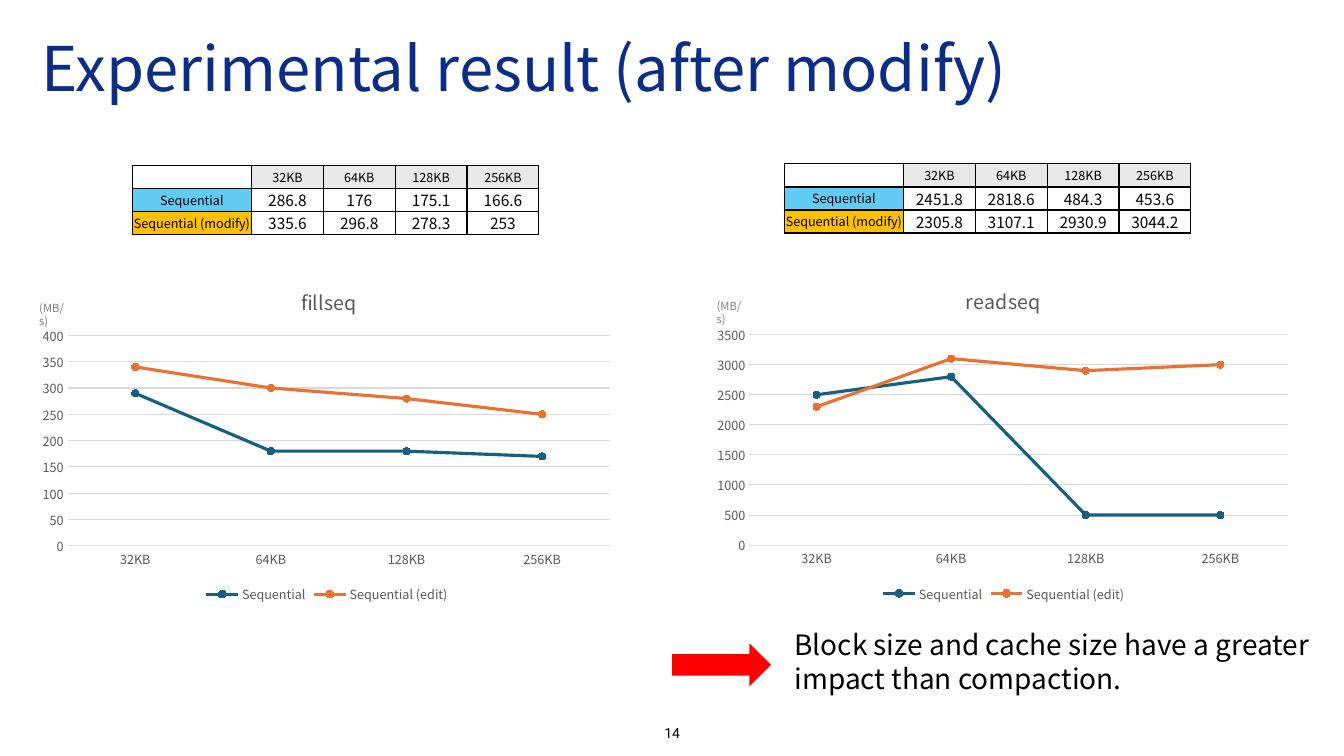
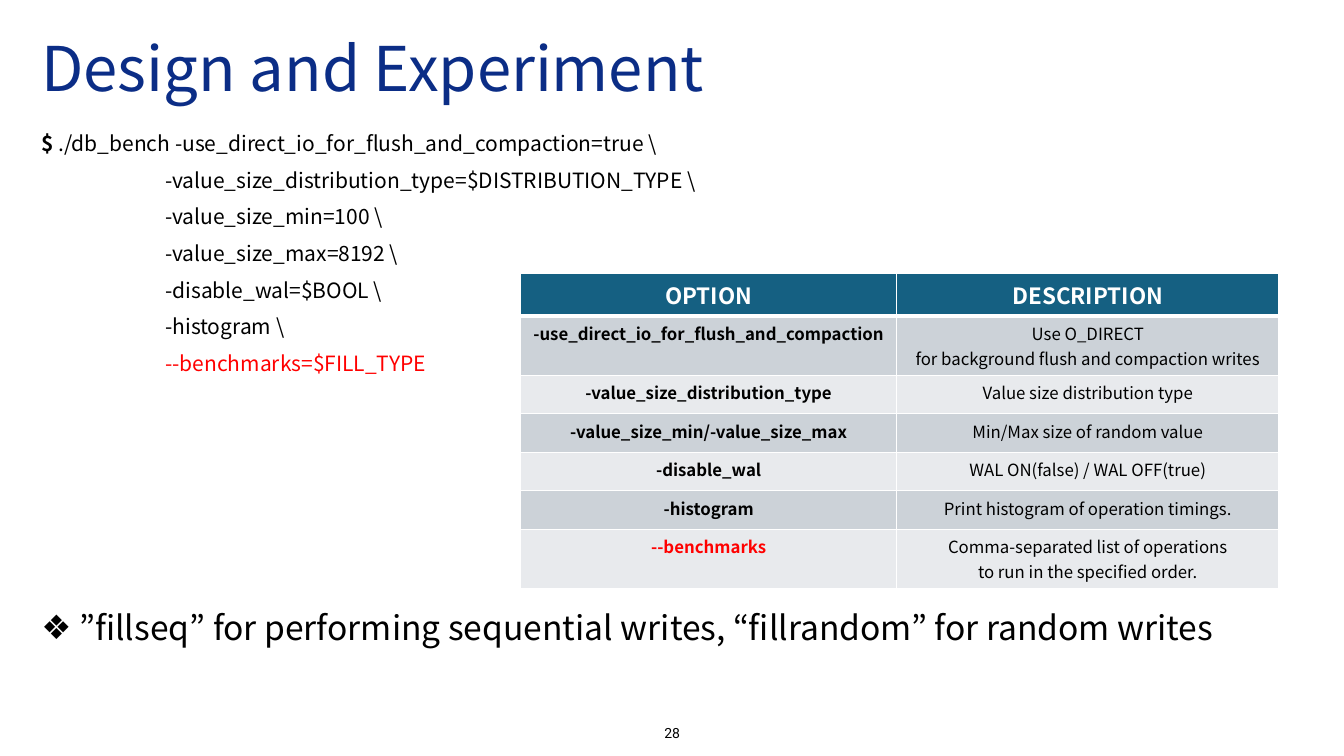
"""Build two slides on storage benchmark results and options."""
from dataclasses import dataclass

from lxml import etree
from pptx import Presentation
from pptx.chart.data import CategoryChartData
from pptx.dml.color import RGBColor
from pptx.enum.chart import XL_CHART_TYPE, XL_LEGEND_POSITION, XL_MARKER_STYLE, XL_TICK_MARK
from pptx.enum.shapes import MSO_SHAPE
from pptx.enum.text import MSO_ANCHOR, MSO_AUTO_SIZE, PP_ALIGN
from pptx.oxml.ns import qn
from pptx.util import Cm, Pt

LEFT, CENTER = PP_ALIGN.LEFT, PP_ALIGN.CENTER
TOP, MIDDLE = MSO_ANCHOR.TOP, MSO_ANCHOR.MIDDLE
NO_FIT, GROW = MSO_AUTO_SIZE.NONE, MSO_AUTO_SIZE.SHAPE_TO_FIT_TEXT
LINE_MARKERS = XL_CHART_TYPE.LINE_MARKERS
LEGEND_BOTTOM = XL_LEGEND_POSITION.BOTTOM
CIRCLE = XL_MARKER_STYLE.CIRCLE
NO_TICK = XL_TICK_MARK.NONE
RIGHT_ARROW = MSO_SHAPE.RIGHT_ARROW
CONTENT_LAYOUT, TITLE_LAYOUT = 1, 5


@dataclass(frozen=True)
class Theme:
    """Fonts, colours and type sizes of the deck."""
    font: str = "Noto Sans CJK KR"
    number_font: str = "Roboto"
    title: str = "0B2D86"
    text: str = "000000"
    white: str = "FFFFFF"
    red: str = "FF0000"
    muted: str = "595959"
    unit: str = "808080"
    grid: str = "D9D9D9"
    head: str = "E8E8E8"
    blue: str = "61CBF3"
    amber: str = "FFC000"
    teal: str = "156082"
    orange: str = "E97132"
    bands: tuple = ("CCD2D8", "E8EAED")
    title_size: int = 44
    bullet_size: int = 24
    caption_size: int = 20
    header_size: int = 16
    code_size: int = 15
    chart_title_size: int = 14
    option_size: int = 12
    value_size: int = 11
    number_size: int = 10
    label_size: int = 9
    unit_size: int = 8


THEME = Theme()
BLOCK_SIZES = ("32KB", "64KB", "128KB", "256KB")
FILLSEQ = ((286.8, 176, 175.1, 166.6), (335.6, 296.8, 278.3, 253))
READSEQ = ((2451.8, 2818.6, 484.3, 453.6), (2305.8, 3107.1, 2930.9, 3044.2))
FILLSEQ_PLOTTED = ((290, 180, 180, 170), (340, 300, 280, 250))
READSEQ_PLOTTED = ((2500, 2800, 500, 500), (2300, 3100, 2900, 3000))
COMMAND_OPTIONS = (
    "-value_size_distribution_type=$DISTRIBUTION_TYPE \\",
    "-value_size_min=100 \\",
    "-value_size_max=8192 \\",
    "-disable_wal=$BOOL \\",
    "-histogram \\",
    "--benchmarks=$FILL_TYPE",
)
OPTIONS = (
    ("OPTION", "DESCRIPTION"),
    ("-use_direct_io_for_flush_and_compaction",
     "Use O_DIRECT\nfor background flush and compaction writes"),
    ("-value_size_distribution_type", "Value size distribution type"),
    ("-value_size_min/-value_size_max", "Min/Max size of random value"),
    ("-disable_wal", "WAL ON(false) / WAL OFF(true)"),
    ("-histogram", "Print histogram of operation timings."),
    ("--benchmarks", "Comma-separated list of operations\nto run in the specified order."),
)


def style_font(font, size, color=THEME.text, bold=False, name=THEME.font):
    """Give a font its face, size, colour and weight."""
    font.name, font.size, font.bold = name, Pt(size), bold
    font.color.rgb = RGBColor.from_string(color)


def style_text(frame, size, color=THEME.text, align=LEFT, spacing=None, **font):
    """Format every paragraph and run of a text frame."""
    for paragraph in frame.paragraphs:
        paragraph.alignment = align
        if spacing:
            paragraph.line_spacing = spacing
        for run in paragraph.runs:
            style_font(run.font, size, color, **font)


def place(shape, left, top, width, height):
    """Move and size a shape, in centimetres."""
    shape.left, shape.top, shape.width, shape.height = map(Cm, (left, top, width, height))


def add_text(slide, text, box, size, wrap=True, anchor=TOP, **style):
    """Add a text box, which grows with its text if it does not wrap."""
    frame = slide.shapes.add_textbox(*map(Cm, box)).text_frame
    frame.word_wrap, frame.vertical_anchor = wrap, anchor
    frame.auto_size = NO_FIT if wrap else GROW
    frame.text = text
    style_text(frame, size, **style)


def add_slide(presentation, layout, title, number):
    """Add a slide with the shared title and page number."""
    slide = presentation.slides.add_slide(presentation.slide_layouts[layout])
    place(slide.shapes.title, 0.79, 0.48, 29.21, 2.67)
    frame = slide.shapes.title.text_frame
    frame.text = title
    frame.auto_size, frame.vertical_anchor = NO_FIT, MIDDLE
    style_text(frame, THEME.title_size, THEME.title, spacing=0.9)
    add_text(slide, number, (13.13, 18.06, 7.62, 0.81), THEME.number_size,
             anchor=MIDDLE, align=CENTER, name=THEME.number_font)
    return slide


def set_borders(cell, color, top=1, bottom=1):
    """Draw the four borders of a cell, widths in points."""
    properties = cell._tc.get_or_add_tcPr()
    sides = (("L", 1), ("R", 1), ("T", top), ("B", bottom))
    for index, (side, width) in enumerate(sides):
        line = etree.Element(qn(f"a:ln{side}"), w=str(Pt(width)))
        fill = etree.SubElement(line, qn("a:solidFill"))
        etree.SubElement(fill, qn("a:srgbClr"), val=color)
        properties.insert(index, line)


def fill_cell(cell, text, fill, size, **style):
    """Write a centred cell on a solid fill."""
    cell.fill.solid()
    cell.fill.fore_color.rgb = RGBColor.from_string(fill)
    cell.text_frame.text = text
    style_text(cell.text_frame, size, align=CENTER, **style)
    if not text:
        etree.SubElement(cell.text_frame.paragraphs[0]._p, qn("a:endParaRPr"), sz=str(size * 100))


def add_table(slide, left, top, widths, heights):
    """Add an empty table with the given column widths and row heights."""
    table = slide.shapes.add_table(len(heights), len(widths), Cm(left), Cm(top),
                                   Cm(sum(widths)), Cm(sum(heights))).table
    for column, width in zip(table.columns, widths):
        column.width = Cm(width)
    for row, height in zip(table.rows, heights):
        row.height = Cm(height)
    return table


def add_result_table(slide, left, top, results):
    """Add a throughput table by block size."""
    table = add_table(slide, left, top, [3.01] + [1.81] * 4, [0.58] * 3)
    rows = (("", *BLOCK_SIZES), ("Sequential", *results[0]), ("Sequential (modify)", *results[1]))
    label_fills = (THEME.white, THEME.blue, THEME.amber)
    for row_index, row in enumerate(rows):
        for column_index, value in enumerate(row):
            cell = table.cell(row_index, column_index)
            cell.margin_left = cell.margin_right = cell.margin_top = cell.margin_bottom = 0
            cell.vertical_anchor = MIDDLE
            is_value = row_index and column_index
            fill = THEME.white if is_value else THEME.head
            if column_index == 0:
                fill = label_fills[row_index]
            fill_cell(cell, str(value), fill, THEME.value_size if is_value else THEME.label_size)
            set_borders(cell, THEME.text)


def add_option_table(slide):
    """Add the table that explains the command options."""
    table = add_table(slide, 13.12, 6.9, (9.48, 9.63), [1.06, 1.49] + [0.97] * 4 + [1.49])
    for row_index, row in enumerate(OPTIONS):
        header = row_index == 0
        for column_index, text in enumerate(row):
            cell = table.cell(row_index, column_index)
            color = THEME.white if header else THEME.text
            if text == "--benchmarks":
                color = THEME.red
            fill_cell(cell, text, THEME.teal if header else THEME.bands[(row_index - 1) % 2],
                      THEME.header_size if header else THEME.option_size,
                      color=color, bold=header or column_index == 0)
            set_borders(cell, THEME.white, top=3 if row_index == 1 else 1, bottom=3 if header else 1)


def set_layout(element, index, **fractions):
    """Fix the place of a chart part as fractions of the chart."""
    for old in element.findall(qn("c:layout")):
        element.remove(old)
    layout = etree.Element(qn("c:layout"))
    manual = etree.SubElement(layout, qn("c:manualLayout"))
    if "w" in fractions:
        etree.SubElement(manual, qn("c:layoutTarget"), val="inner")
    for mode in ("xMode", "yMode"):
        etree.SubElement(manual, qn(f"c:{mode}"), val="edge")
    for key, value in fractions.items():
        etree.SubElement(manual, qn(f"c:{key}"), val=str(value))
    element.insert(index, layout)


def style_line(line, color, width):
    """Give a line its colour and width."""
    line.color.rgb = RGBColor.from_string(color)
    line.width = Pt(width)


def style_axes(chart, maximum, step):
    """Format both axes and the gridlines."""
    for axis in (chart.category_axis, chart.value_axis):
        axis.major_tick_mark = axis.minor_tick_mark = NO_TICK
        style_font(axis.tick_labels.font, THEME.label_size, THEME.muted)
    style_line(chart.category_axis.format.line, THEME.grid, 0.75)
    value_axis = chart.value_axis
    value_axis.minimum_scale, value_axis.maximum_scale, value_axis.major_unit = 0, maximum, step
    value_axis.format.line.fill.background()
    style_line(value_axis.major_gridlines.format.line, THEME.grid, 0.75)


def add_result_chart(slide, title, box, results, maximum, step, title_x, plot):
    """Add a throughput line chart."""
    data = CategoryChartData()
    data.categories = BLOCK_SIZES
    for name, values in zip(("Sequential", "Sequential (edit)"), results):
        data.add_series(name, values)
    chart = slide.shapes.add_chart(LINE_MARKERS, *map(Cm, box), data).chart
    style_font(chart.font, THEME.number_size)
    chart.has_title = True
    chart.chart_title.text_frame.text = title
    style_text(chart.chart_title.text_frame, THEME.chart_title_size, THEME.muted, CENTER)
    chart.has_legend = True
    chart.legend.position, chart.legend.include_in_layout = LEGEND_BOTTOM, False
    style_font(chart.legend.font, THEME.label_size, THEME.muted)
    style_axes(chart, maximum, step)
    chart.plots[0].vary_by_categories = False
    for series, color in zip(chart.plots[0].series, (THEME.teal, THEME.orange)):
        series.smooth = False
        style_line(series.format.line, color, 2.25)
        series.marker.style, series.marker.size = CIRCLE, 5
        series.marker.format.fill.solid()
        series.marker.format.fill.fore_color.rgb = RGBColor.from_string(color)
        style_line(series.marker.format.line, color, 0.75)
    set_layout(chart.element.find(".//" + qn("c:title")), 1, x=title_x, y=0.04)
    set_layout(chart.element.find(".//" + qn("c:plotArea")), 0, x=plot[0], y=0.2, w=plot[1], h=0.62)


def add_arrow(slide, box):
    """Add a red arrow pointing right."""
    arrow = slide.shapes.add_shape(RIGHT_ARROW, *map(Cm, box))
    arrow.shadow.inherit = False
    arrow.fill.solid()
    arrow.fill.fore_color.rgb = RGBColor.from_string(THEME.red)
    arrow.line.fill.background()


def format_item(paragraph, before, margin, indent=0, bullet=None):
    """Set the spacing, indent and bullet of a body paragraph."""
    paragraph.space_before, paragraph.line_spacing = Pt(before), 0.9
    properties = paragraph._p.get_or_add_pPr()
    properties.set("marL", str(Cm(margin)))
    properties.set("indent", str(Cm(indent)))
    if bullet:
        etree.SubElement(properties, qn("a:buChar"), char=bullet)
    else:
        etree.SubElement(properties, qn("a:buNone"))


def fill_command_body(body):
    """Write the benchmark command and the closing bullet."""
    place(body, 0.79, 3.23, 32.46, 13.92)
    frame = body.text_frame
    bullet_text = "”fillseq” for performing sequential writes, “fillrandom” for random writes"
    frame.text = "\n".join(("$", *COMMAND_OPTIONS, bullet_text))
    frame.auto_size = NO_FIT
    command, *options, bullet = frame.paragraphs
    command.add_run().text = " ./db_bench -use_direct_io_for_flush_and_compaction=true \\"
    style_text(frame, THEME.code_size)
    command.runs[0].font.bold = True
    format_item(command, 10, 0)
    for option in options:
        format_item(option, 10, 3.12)
    style_font(options[-1].runs[0].font, THEME.code_size, THEME.red)
    style_font(bullet.runs[0].font, THEME.bullet_size)
    format_item(bullet, 168, 0.97, -0.97, "❖")


def main():
    """Build and save the presentation."""
    presentation = Presentation()
    presentation.slide_width, presentation.slide_height = Cm(33.87), Cm(19.05)

    slide = add_slide(presentation, TITLE_LAYOUT, "Experimental result (after modify)", "14")
    add_result_chart(slide, "fillseq", (0.81, 6.74, 14.86, 8.56), FILLSEQ_PLOTTED, 400, 50, 0.45, (0.06, 0.92))
    add_result_chart(slide, "readseq", (17.84, 6.72, 14.91, 8.56), READSEQ_PLOTTED, 3500, 500, 0.43, (0.07, 0.91))
    add_result_table(slide, 3.33, 4.17, FILLSEQ)
    add_result_table(slide, 19.76, 4.13, READSEQ)
    for left, top in ((0.74, 7.47), (17.81, 7.42)):
        add_text(slide, "(MB/s)", (left, top, 1.35, 0.61), THEME.unit_size, wrap=False, color=THEME.unit)
    add_text(slide, "Block size and cache size have a greater impact than compaction.",
             (19.77, 15.7, 14.71, 1.96), THEME.caption_size)
    add_arrow(slide, (16.94, 16.21, 2.49, 1.09))

    slide = add_slide(presentation, CONTENT_LAYOUT, "Design and Experiment", "28")
    fill_command_body(slide.placeholders[1])
    add_option_table(slide)
    presentation.save("out.pptx")


if __name__ == "__main__":
    main()
